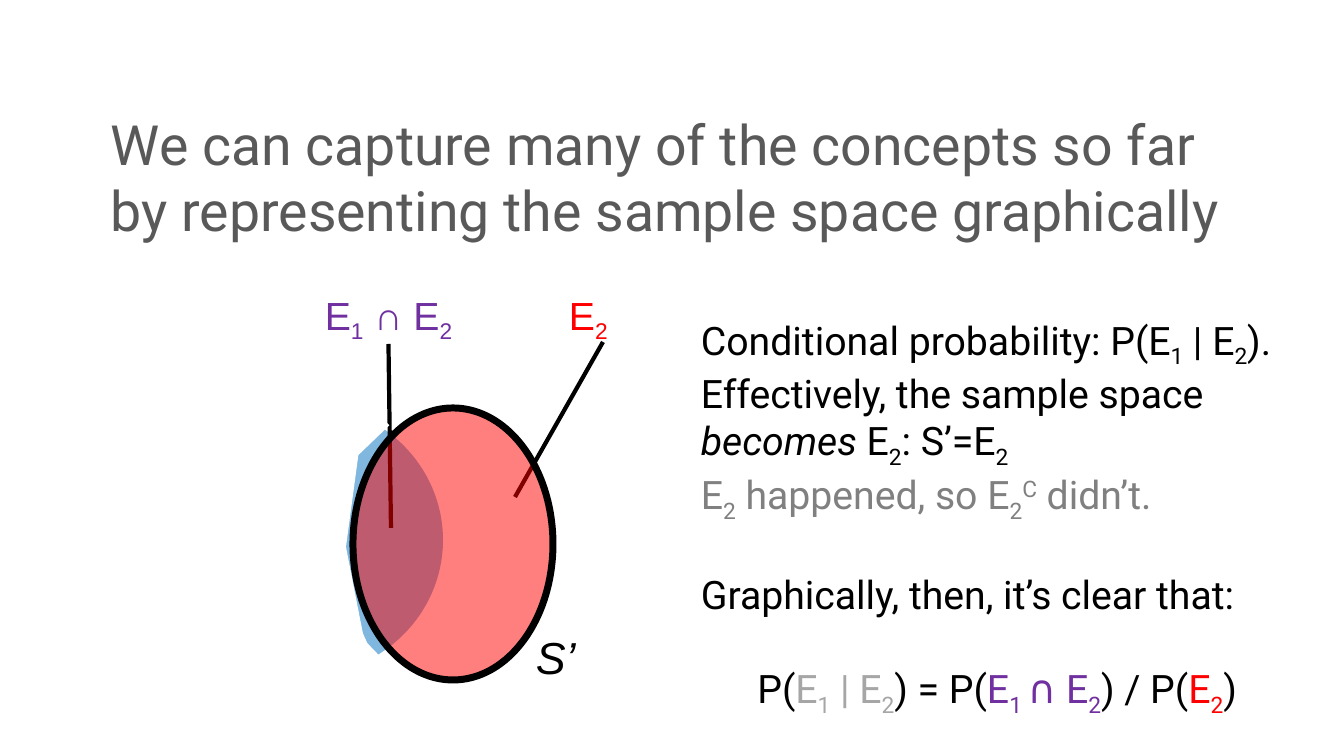
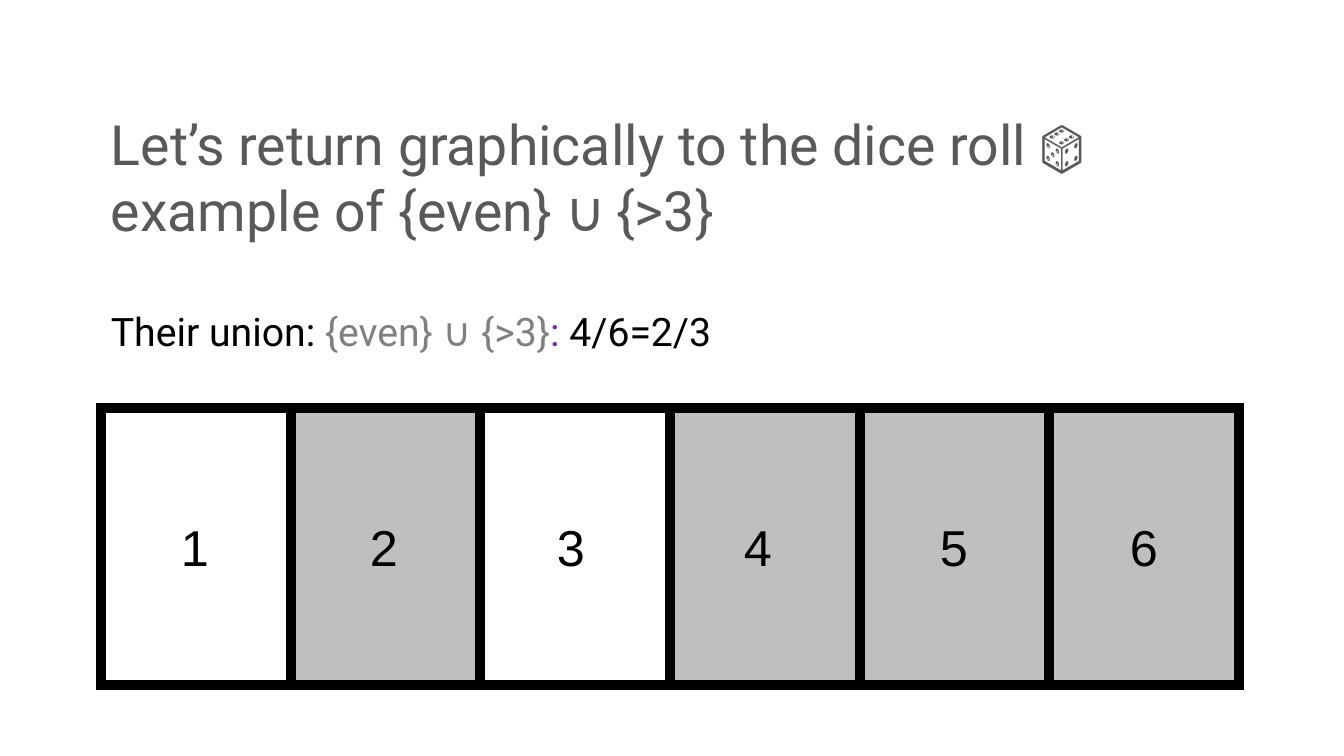
import pptx
import pptx.dml.color
import pptx.enum.shapes
import pptx.enum.text
import pptx.oxml
import pptx.oxml.ns
import pptx.util

RGBColor = pptx.dml.color.RGBColor
SHAPE = pptx.enum.shapes.MSO_SHAPE
ALIGN = pptx.enum.text.PP_ALIGN
ANCHOR = pptx.enum.text.MSO_ANCHOR

# Shared look
EMU_PER_PX = 914400 / 100.8
PAGE_WIDTH, PAGE_HEIGHT = 1344, 756
TITLE_BOX = (101, 101, 1159, 151)
TITLE_FONT, LABEL_FONT = "Roboto", "Arial"
TITLE_SIZE, BODY_SIZE, MARK_SIZE, DIGIT_SIZE = 39.6, 28, 32, 36
BLACK = RGBColor(0x00, 0x00, 0x00)
WHITE = RGBColor(0xFF, 0xFF, 0xFF)
TITLE_GREY = RGBColor(0x59, 0x59, 0x59)
GREY = RGBColor(0x80, 0x80, 0x80)
PALE_GREY = RGBColor(0xA6, 0xA6, 0xA6)
CELL_GREY = RGBColor(0xBF, 0xBF, 0xBF)
RED = RGBColor(0xFF, 0x00, 0x00)
BLUE = RGBColor(0x00, 0x70, 0xC0)
PURPLE = RGBColor(0x70, 0x30, 0xA0)
BASELINES = {"_": "-25000", "^": "30000"}


def px(*lengths):
    return [pptx.util.Emu(round(length * EMU_PER_PX)) for length in lengths]


def drawing_element(text):
    """Build a DrawingML element from its name and attributes."""
    return pptx.oxml.parse_xml("<a:%s %s/>" % (text, pptx.oxml.ns.nsdecls("a")))


def split_scripts(text):
    """Yield (text, baseline); _ lowers and ^ raises the next character."""
    start = 0
    for index, mark in enumerate(text):
        if mark in BASELINES:
            yield text[start:index], None
            yield text[index + 1], BASELINES[mark]
            start = index + 2
    yield text[start:], None


def write(para, pieces, size, face, align=ALIGN.LEFT, before=0):
    """Fill a paragraph with (text, colour) or (text, colour, italic) pieces."""
    para.alignment = align
    if before:
        para.space_before = pptx.util.Pt(before)
    para.font.size = pptx.util.Pt(size)
    para.font.name = face
    colours = {piece[1] for piece in pieces}
    if len(colours) == 1:
        para.font.color.rgb = pieces[0][1]
    for text, colour, *italic in pieces:
        for part, baseline in split_scripts(text):
            if not part:
                continue
            span = para.add_run()
            span.text = part
            if len(colours) > 1:
                span.font.color.rgb = colour
            if italic:
                span.font.italic = italic[0]
            if baseline:
                span._r.get_or_add_rPr().set("baseline", baseline)


def add_text(page, place, pieces, size, face, align=ALIGN.LEFT, anchor=ANCHOR.TOP):
    box = page.shapes.add_textbox(*px(*place))
    box.text_frame.word_wrap = True
    box.text_frame.vertical_anchor = anchor
    write(box.text_frame.paragraphs[0], pieces, size, face, align)
    return box


def add_figure(page, kind, place, fill=None, opacity=100, line_width=0):
    shape = page.shapes.add_shape(kind, *px(*place))
    shape.shadow.inherit = False
    if fill is None:
        shape.fill.background()
    else:
        shape.fill.solid()
        shape.fill.fore_color.rgb = fill
        if opacity < 100:
            colour = shape.fill._xPr.find(".//" + pptx.oxml.ns.qn("a:srgbClr"))
            colour.append(drawing_element("alpha val='%d'" % (opacity * 1000)))
    if line_width:
        shape.line.color.rgb = BLACK
        shape.line.width = pptx.util.Pt(line_width)
        shape.line._get_or_add_ln().append(drawing_element("miter lim='800000'"))
    else:
        shape.line.fill.background()
    return shape


def add_pointer(page, start, end, label=None):
    line = page.shapes.add_connector(
        pptx.enum.shapes.MSO_CONNECTOR.STRAIGHT, *px(*start, *end))
    line.line.color.rgb = BLACK
    line.line.width = pptx.util.Pt(3)
    line._element.spPr.append(drawing_element("effectLst"))
    if label is not None:
        line.begin_connect(label, 2)


def add_page(deck, title):
    page = deck.slides.add_slide(deck.slide_layouts[6])
    add_text(page, TITLE_BOX, [(title, TITLE_GREY)], TITLE_SIZE, TITLE_FONT,
             anchor=ANCHOR.MIDDLE)
    return page


def add_event_diagram(page, left, top):
    """Two overlapping events, with the first cut down to the second."""
    # Second event's label and pointer, then the first event
    add_text(page, (left + 279, top, 69, 58), [("E_2", RED)], BODY_SIZE, LABEL_FONT)
    add_pointer(page, (left + 323, top + 56), (left + 235, top + 211))
    add_figure(page, SHAPE.OVAL, (left - 118, top + 118, 281, 272), BLUE, 50)

    # Intersection
    both = add_text(page, (left + 1, top, 215, 58), [("E_1 ∩ E_2", PURPLE)],
                    BODY_SIZE, LABEL_FONT, ALIGN.CENTER)
    add_pointer(page, (left + 109, top + 58), (left + 111, top + 242), both)

    # Second event, which becomes the sample space
    add_text(page, (left + 246, top + 339, 62, 65), [("S’", BLACK, True)],
             MARK_SIZE, LABEL_FONT)
    add_figure(page, SHAPE.OVAL, (left + 73, top + 122, 200, 272), RED, 50, 5)

    # White pies hide the first event outside the second
    half_pie = (20.06, 139.3)
    for across, down, turn, angles in [(-174, 88, 46.1, ()),
                                       (-97, 94, 45.5, half_pie),
                                       (-96, 145, 32.4, half_pie)]:
        pie = add_figure(page, SHAPE.PIE, (left + across, top + down, 326, 334), WHITE)
        pie.rotation = turn
        for index, angle in enumerate(angles):
            pie.adjustments[index] = angle


def add_explanation(page, place):
    statements = [
        ([("Conditional probability: P(E_1 | E_2). Effectively, the sample space ", BLACK),
          ("becomes", BLACK, True), (" E_2: S’=E_2", BLACK)], ALIGN.LEFT, 0),
        ([("E_2 happened, so E_2^C didn’t.", GREY)], ALIGN.LEFT, 0),
        ([("Graphically, then, it’s clear that:", BLACK)], ALIGN.LEFT, 33),
        ([("P(", BLACK), ("E_1 | E_2", PALE_GREY), (") = P(", BLACK),
          ("E_1_ ∩ E_2", PURPLE), (") / P(", BLACK), ("E_2", RED), (") ", BLACK)],
         ALIGN.CENTER, 34),
    ]
    box = page.shapes.add_textbox(*px(*place))
    frame = box.text_frame
    frame.word_wrap = True
    for index, (pieces, align, before) in enumerate(statements):
        para = frame.add_paragraph() if index else frame.paragraphs[0]
        write(para, pieces, BODY_SIZE, TITLE_FONT, align, before)


def add_dice_row(page, left, top, width, height, shaded):
    """Six touching cells, then a digit over each."""
    side = width / 6
    for face in range(1, 7):
        add_figure(page, SHAPE.RECTANGLE,
                   (left + (face - 1) * side, top, side, height),
                   CELL_GREY if face in shaded else None, line_width=7)
    for face, across in enumerate((70, 259, 446, 633, 829, 1019), start=1):
        add_text(page, (left + across, top + 103, 48, 72), [(str(face), BLACK)],
                 DIGIT_SIZE, LABEL_FONT, ALIGN.CENTER)


def main():
    deck = pptx.Presentation()
    deck.slide_width, deck.slide_height = px(PAGE_WIDTH, PAGE_HEIGHT)

    # Conditional probability
    page = add_page(deck, "We can capture many of the concepts so far "
                          "by representing the sample space graphically")
    add_event_diagram(page, 280, 286)
    add_explanation(page, (691, 311, 622, 419))

    # Dice roll
    page = add_page(deck, "Let’s return graphically to the dice roll 🎲 "
                          "example of {even} ∪ {>3}")
    add_text(page, (101, 302, 1159, 419),
             [("Their union: ", BLACK), ("{even} ∪ {>3}", GREY),
              (": ", PURPLE), ("4/6=2/3", BLACK)], BODY_SIZE, TITLE_FONT)
    add_dice_row(page, 101, 408, 1138, 277, shaded={2, 4, 5, 6})

    deck.save("out.pptx")


if __name__ == "__main__":
    main()
